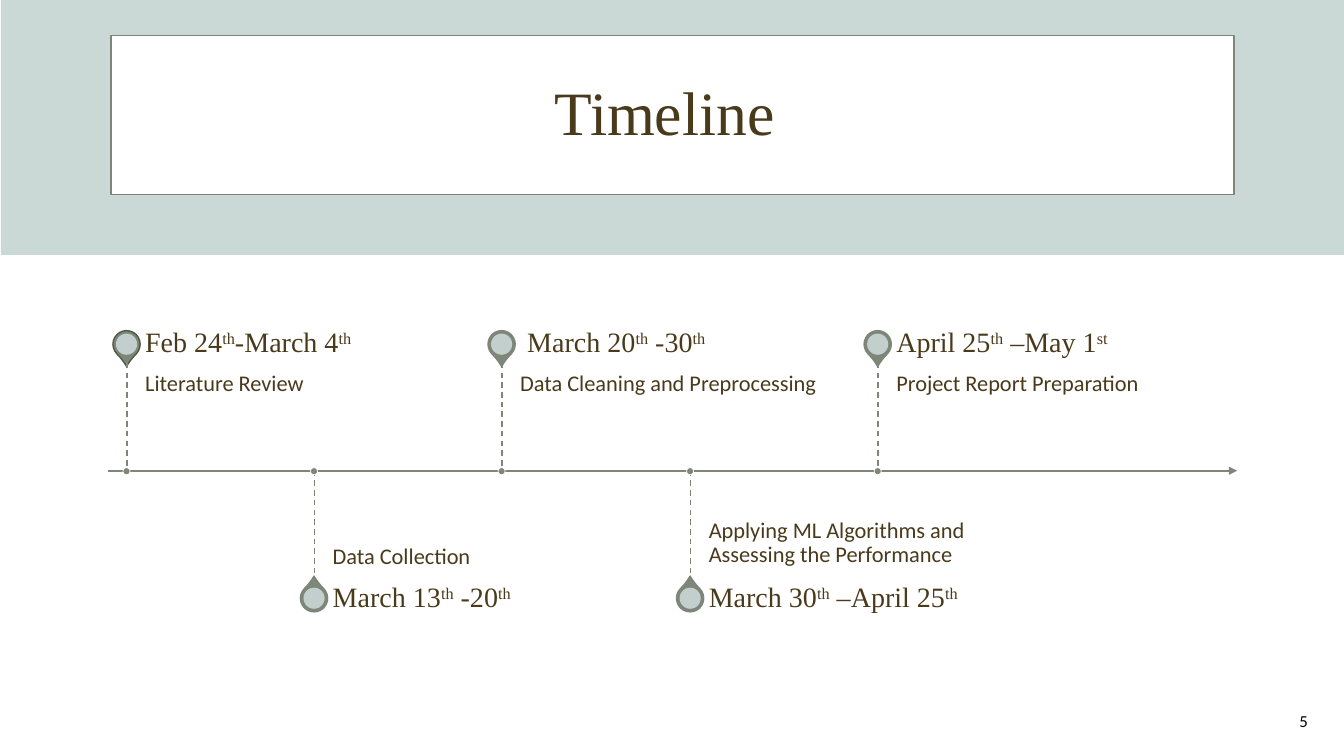
from pptx import Presentation, util as u
from pptx.dml.color import RGBColor
from pptx.enum import dml, shapes, text
from pptx.oxml.ns import qn
from lxml import etree

MIST = RGBColor(0xCA, 0xD8, 0xD6)
SAGE = RGBColor(0x7E, 0x86, 0x79)
MOSS = RGBColor(0x4F, 0x59, 0x45)
BROWN = RGBColor(0x4A, 0x3A, 0x1C)
WHITE = RGBColor(0xFF, 0xFF, 0xFF)
BLACK = RGBColor(0, 0, 0)

SERIF, SANS = "Times New Roman", "Calibri"
KIND = shapes.MSO_SHAPE
TOP, MIDDLE, BOTTOM = text.MSO_ANCHOR.TOP, text.MSO_ANCHOR.MIDDLE, text.MSO_ANCHOR.BOTTOM
LEFT, CENTER, RIGHT = text.PP_ALIGN.LEFT, text.PP_ALIGN.CENTER, text.PP_ALIGN.RIGHT

SLIDE_W, SLIDE_H = 1333, 750
AXIS_Y, STEM, LABEL_H = 467, 107, 38
FIRST_X, STEP_TENTHS = 126, 1864

MILESTONES = [
    ("Feb 24^th^-March 4^th", "Literature Review"),
    ("March 13^th^ -20^th", "Data Collection"),
    (" March 20^th^ -30^th", "Data Cleaning and Preprocessing"),
    ("March 30^th^ –April 25^th", "Applying ML Algorithms and Assessing the Performance"),
    ("April 25^th^ –May 1^st", "Project Report Preparation"),
]


def px(n):
    return u.Emu(n * 9144)


class TimelineSlide:
    """Draws styled elements on one slide, with lengths in px of 1/100 inch."""

    def __init__(self, deck):
        deck.slide_width, deck.slide_height = px(SLIDE_W), px(SLIDE_H)
        self.shapes = deck.slides.add_slide(deck.slide_layouts[6]).shapes

    def shape(self, kind, x, y, w, h, fill, line=None, weight=1, turn=0, alpha=None):
        item = self.shapes.add_shape(kind, px(x), px(y), px(w), px(h))
        item.shadow.inherit = False
        item.rotation = turn
        item.fill.solid()
        item.fill.fore_color.rgb = fill
        if alpha:
            color = item._element.spPr.find(qn("a:solidFill"))[0]
            etree.SubElement(color, qn("a:alpha"), val=str(alpha * 1000))
        if line is None:
            item.line.fill.background()
        else:
            item.line.color.rgb = line
            item.line.width = u.Pt(weight)
        return item

    def line(self, x1, y1, x2, y2, weight=1, dashed=False, arrow=False):
        rule = self.shapes.add_connector(
            shapes.MSO_CONNECTOR.STRAIGHT, px(x1), px(y1), px(x2), px(y2))
        rule.line.color.rgb = SAGE
        rule.line.width = u.Pt(weight)
        if dashed:
            rule.line.dash_style = dml.MSO_LINE.DASH
        if arrow:
            etree.SubElement(rule.line._get_or_add_ln(), qn("a:tailEnd"), type="triangle")
        etree.SubElement(rule._element.spPr, qn("a:effectLst"))

    def text(self, words, x, y, w, h, size=16, font=SANS, color=BROWN, align=LEFT,
             anchor=MIDDLE, insets=(10, 5, 10, 5), spacing=0.9):
        frame = self.shapes.add_textbox(px(x), px(y), px(w), px(h)).text_frame
        frame.word_wrap = True
        frame.vertical_anchor = anchor
        (frame.margin_left, frame.margin_top,
         frame.margin_right, frame.margin_bottom) = map(px, insets)
        paragraph = frame.paragraphs[0]
        paragraph.alignment = align
        paragraph.line_spacing = spacing
        for i, part in enumerate(words.split("^")):
            run = paragraph.add_run()
            run.text = part
            run.font.size = u.Pt(size)
            run.font.name = font
            run.font.color.rgb = color
            if i % 2:
                run._r.get_or_add_rPr().set("baseline", "30000")

    def milestone(self, x, date, task, above, edge):
        label_y = AXIS_Y - STEM - LABEL_H if above else AXIS_Y + STEM + 1
        task_y = AXIS_Y - STEM if above else AXIS_Y
        drop_y = label_y + (6 if above else 5)
        drop = self.shape(KIND.TEAR, x - 14, drop_y, 27, 27, SAGE, edge,
                          turn=135 if above else 315)
        drop.adjustments[0] = 1.15
        self.shape(KIND.OVAL, x - 11, drop_y + 3, 21, 21, MIST, alpha=90)
        self.text(task, x + 18, task_y, 310, STEM, anchor=TOP if above else BOTTOM,
                  insets=(0, 11, 11, 17) if above else (0, 17, 0, 11))
        self.text(date, x + 18, label_y, 310, LABEL_H, size=20, font=SERIF,
                  insets=(0, 0, 14, 0))
        self.line(x, task_y, x, task_y + STEM, dashed=True)
        self.shape(KIND.OVAL, x - 4, AXIS_Y - 3, 7, 7, SAGE, WHITE, weight=0.5)


def main():
    deck = Presentation()
    slide = TimelineSlide(deck)
    slide.shape(KIND.RECTANGLE, 1, 0, SLIDE_W - 1, 253, MIST)
    slide.shape(KIND.RECTANGLE, 110, 35, 1114, 158, WHITE, SAGE)
    slide.text("Timeline ", 42, 42, 1250, 145, size=44, font=SERIF, align=CENTER)
    slide.text("5", 1007, 695, 300, 40, size=12, color=BLACK, align=RIGHT, spacing=1.0)
    slide.line(107, AXIS_Y, 1227, AXIS_Y, weight=1.5, arrow=True)
    for i, (date, task) in enumerate(MILESTONES):
        slide.milestone(FIRST_X + i * STEP_TENTHS // 10, date, task,
                        above=i % 2 == 0, edge=SAGE if i else MOSS)
    deck.save("out.pptx")


if __name__ == "__main__":
    main()
